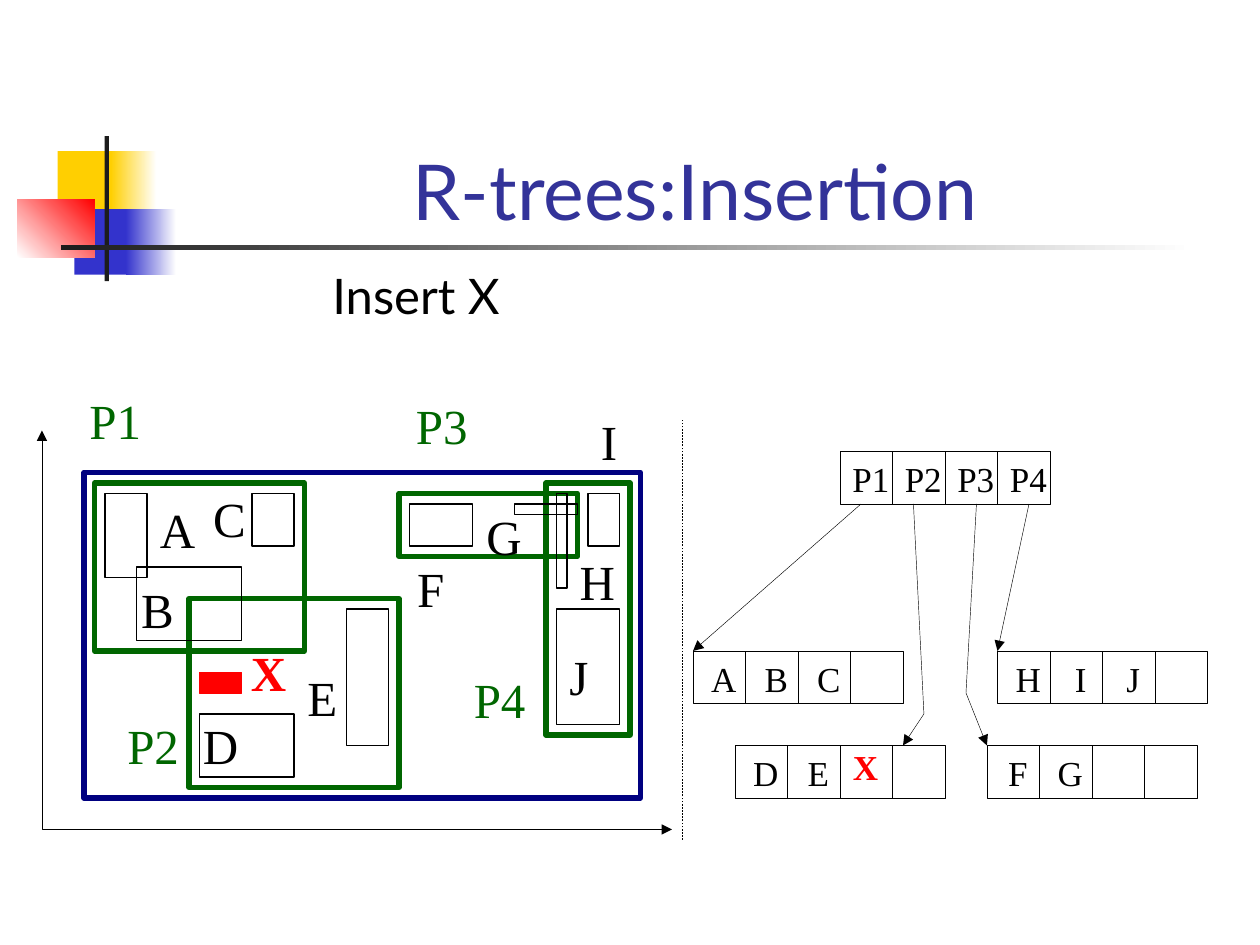
from lxml import etree
from pptx import Presentation
from pptx.dml.color import RGBColor
from pptx.enum.dml import MSO_LINE
from pptx.enum.shapes import MSO_CONNECTOR as CONN, MSO_SHAPE as SHAPE
from pptx.enum.text import MSO_ANCHOR as ANCHOR, MSO_AUTO_SIZE as AUTO, PP_ALIGN as ALIGN
from pptx.oxml.ns import qn
from pptx.util import Pt

BLACK, GREEN, NAVY, RED, WHITE = "000000", "006600", "000080", "FF0000", "FFFFFF"
SERIF, SANS = "Times New Roman", "Lato"
CELL = 30
EM = dict(A=.722, B=.667, C=.667, D=.722, E=.611, F=.556, G=.722,
          H=.722, I=.333, J=.389, P=.556, X=.722)

DECOR = [
    (33, 86.4, 34.5, 37.4, "FFCF01", None, 0),
    (63.4, 86.4, 26, 37.4, "FFCF01", WHITE, 0),
    (42.5, 119.5, 33.1, 37.4, "3333CC", None, 0),
    (72, 119.5, 28.8, 37.4, "3333CC", WHITE, 0),
    (10, 113.8, 44, 33.1, WHITE, RED, 45),
    (59.8, 77.8, 2.4, 82.8, "1C1C1C", None, 0),
    (34.6, 140.2, 648, 2.4, "1C1C1C", WHITE, 0),
]
REGIONS = [(54, 276, 120, 96), (312, 276, 48, 144), (108, 342, 120, 108), (228, 282, 102, 36)]
ITEMS = [
    (60, 282, 24, 48), (144, 282, 24, 30), (78, 324, 60, 42), (114, 408, 54, 36),
    (198, 348, 24, 78), (234, 288, 36, 24), (318, 348, 36, 66), (336, 282, 18, 30),
    (294, 288, 36, 6), (318, 282, 6, 54),
]
ITEM_LABELS = {
    "A": (84.2, 282), "B": (73.4, 327.6), "C": (114.5, 275.8), "D": (108.7, 405.4),
    "E": (168.5, 378), "F": (231.1, 315.4), "G": (270.7, 285.8), "H": (324, 311.8),
    "I": (336.2, 231.8), "J": (318.2, 365.8),
}
REGION_LABELS = {"P1": (43.9, 219.6), "P2": (65.5, 405.4), "P3": (230.4, 222.5), "P4": (263.5, 378.7)}
NODES = [
    (480, 258, ["P1", "P2", "P3", "P4"]), (564, 426, ["F", "G"]), (420, 426, ["D", "E"]),
    (570, 372, ["H", "I", "J"]), (396, 372, ["A", "B", "C"]),
]
STRAIGHT_LINKS = [((492, 288), (396, 372)), ((588, 288), (570, 372))]
BENT_LINKS = [[(522, 288), (528, 408), (516, 426)], [(558, 288), (552, 396), (564, 426)]]


def rgb(value):
    """Return the colour for a hex string."""
    return RGBColor.from_string(value)


def set_format(obj, values):
    """Set each named value on an object."""
    for name, value in values.items():
        setattr(obj, name, value)


def set_line(line, color, width, head=False, tail=False):
    """Colour a line and give its ends arrowheads."""
    line.color.rgb = rgb(color)
    line.width = Pt(width)
    ln = line._get_or_add_ln()
    for tag, wanted in (("a:headEnd", head), ("a:tailEnd", tail)):
        if wanted:
            etree.SubElement(ln, qn(tag), type="triangle")


def add_rect(shapes, x, y, w, h, fill=None, line=None, width=0.25):
    """Add a rectangle with optional fill and outline."""
    s = shapes.add_shape(SHAPE.RECTANGLE, Pt(x), Pt(y), Pt(w), Pt(h))
    s.shadow.inherit = False
    if fill:
        s.fill.solid()
        s.fill.fore_color.rgb = rgb(fill)
    else:
        s.fill.background()
    if line:
        set_line(s.line, line, width)
    else:
        s.line.fill.background()
    return s


def add_decor(shapes, x, y, w, h, start, end, angle):
    """Add a plain or fading block of the title ornament."""
    s = add_rect(shapes, x, y, w, h, fill=start)
    if end:
        s.fill.gradient()
        s.fill.gradient_angle = angle
        for stop, color in zip(s.fill.gradient_stops, (start, end)):
            stop.color.rgb = rgb(color)


def write(tf, text, size, font, color, align, bold=False):
    """Write one formatted run into a text frame."""
    p = tf.paragraphs[0]
    p.alignment = align
    r = p.add_run()
    r.text = text
    set_format(r.font, {"size": Pt(size), "name": font, "bold": bold})
    r.font.color.rgb = rgb(color)


def add_text(shapes, x, y, w, text, size, font=SERIF, color=BLACK,
             align=ALIGN.CENTER, anchor=ANCHOR.MIDDLE, bold=False):
    """Add a text box that grows with one unwrapped line."""
    s = shapes.add_textbox(Pt(x), Pt(y), Pt(w), Pt(1.2 * size + 7.2))
    set_format(s.text_frame, {"word_wrap": False, "auto_size": AUTO.SHAPE_TO_FIT_TEXT,
                              "vertical_anchor": anchor})
    write(s.text_frame, text, size, font, color, align, bold)


def label_width(text, size):
    """Return the width of a label with its side margins."""
    return sum(EM.get(c, 0.5) for c in text) * size + 14.4


def add_label(shapes, x, y, text, size=28, color=BLACK, bold=False):
    """Add a label from its top left corner."""
    add_text(shapes, x, y, label_width(text, size), text, size, color=color, bold=bold)


def add_node(shapes, x, y, entries):
    """Add a tree node of four cells as one group."""
    group = shapes.add_group_shape().shapes
    for i in range(4):
        add_rect(group, x + i * CELL, y, CELL, CELL, line=BLACK)
    for i, text in enumerate(entries):
        center = x + i * CELL + 17.6
        add_label(group, center - label_width(text, 20) / 2, y, text, 20)


def add_line(shapes, start, end, tail=False):
    """Add a thin straight line."""
    s = shapes.add_connector(CONN.STRAIGHT, *map(Pt, start + end))
    set_line(s.line, BLACK, 0.25, tail=tail)
    etree.SubElement(s._element.spPr, qn("a:effectLst"))
    return s


def add_path(shapes, points, head=False):
    """Add a bent line with an arrowhead at its end."""
    first, *rest = [tuple(map(Pt, point)) for point in points]
    builder = shapes.build_freeform(*first)
    builder.add_line_segments(rest, close=False)
    s = builder.convert_to_shape()
    s.shadow.inherit = False
    s.fill.background()
    set_line(s.line, BLACK, 0.25, head, True)


def add_title(slide, text):
    """Place and write the title."""
    s = slide.shapes.title
    set_format(s, {"left": Pt(90.7), "top": Pt(48.2), "width": Pt(613.4), "height": Pt(90)})
    set_format(s.text_frame, {"vertical_anchor": ANCHOR.BOTTOM, "auto_size": AUTO.NONE})
    write(s.text_frame, text, 44, SANS, "333399", ALIGN.CENTER)


def add_map(shapes):
    """Draw the nested rectangles with their axes and labels."""
    for box in REGIONS:
        add_rect(shapes, *box, line=GREEN, width=3)
    for box in ITEMS:
        add_rect(shapes, *box, line=BLACK, width=0.75)
    add_rect(shapes, 48, 270, 318, 186, line=NAVY, width=3)
    add_path(shapes, [(24, 246), (24, 474), (384, 474)], head=True)
    for labels, color in ((ITEM_LABELS, BLACK), (REGION_LABELS, GREEN)):
        for text, (x, y) in labels.items():
            add_label(shapes, x, y, text, color=color)


def add_tree(shapes):
    """Draw the tree nodes and their links."""
    for node in NODES:
        add_node(shapes, *node)
    add_line(shapes, (390, 480), (390, 240)).line.dash_style = MSO_LINE.DASH
    for start, end in STRAIGHT_LINKS:
        add_line(shapes, start, end, tail=True)
    for points in BENT_LINKS:
        add_path(shapes, points)


def main():
    """Build and save the slide."""
    prs = Presentation()
    set_format(prs, {"slide_width": Pt(720), "slide_height": Pt(540)})
    slide = prs.slides.add_slide(prs.slide_layouts[5])
    shapes = slide.shapes
    for block in DECOR:
        add_decor(shapes, *block)
    add_title(slide, "R-trees:Insertion")
    add_map(shapes)
    add_tree(shapes)
    add_label(shapes, 136.1, 363.6, "X", color=RED, bold=True)
    add_rect(shapes, 114, 384, 24, 12, fill=RED, line=RED)
    add_label(shapes, 480.2, 422.6, "X", 20, RED, True)
    add_text(shapes, 182.9, 148.3, 115.2, "Insert X", 28, SANS,
             align=ALIGN.LEFT, anchor=ANCHOR.TOP)
    prs.save("out.pptx")


if __name__ == "__main__":
    main()
